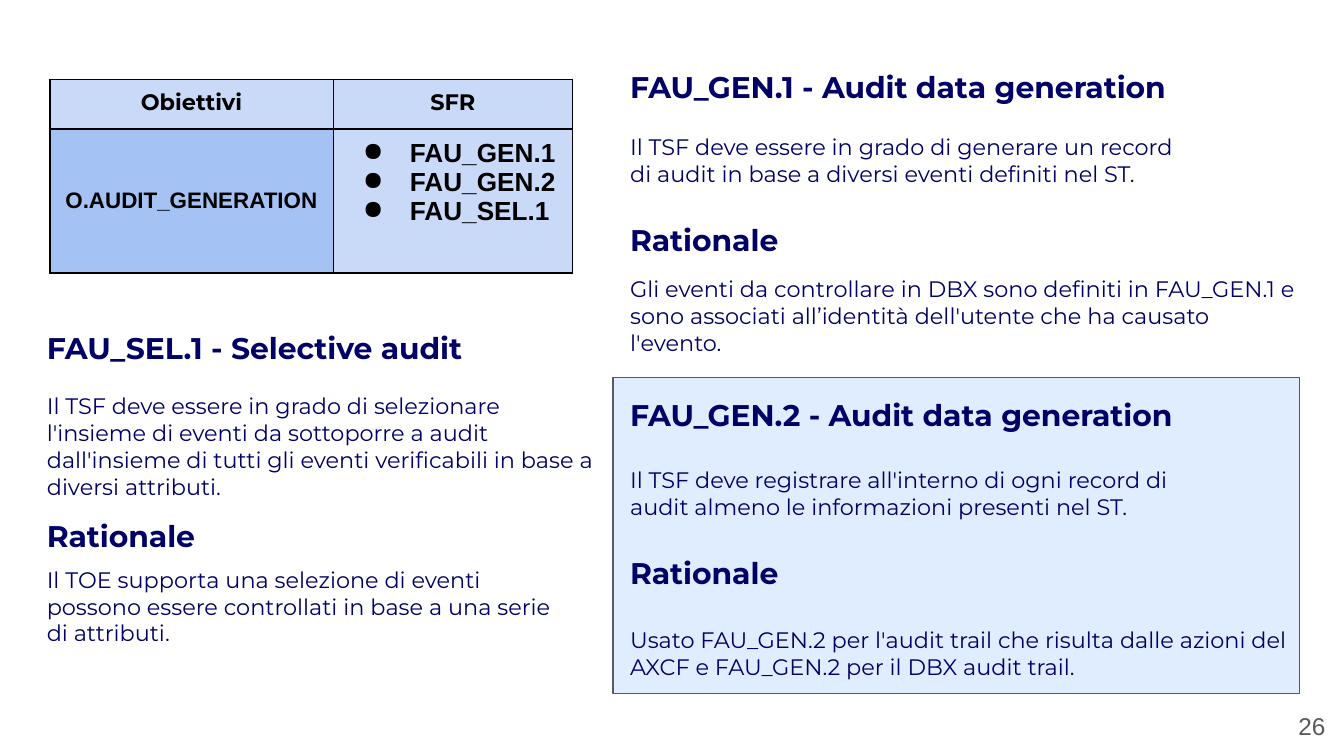
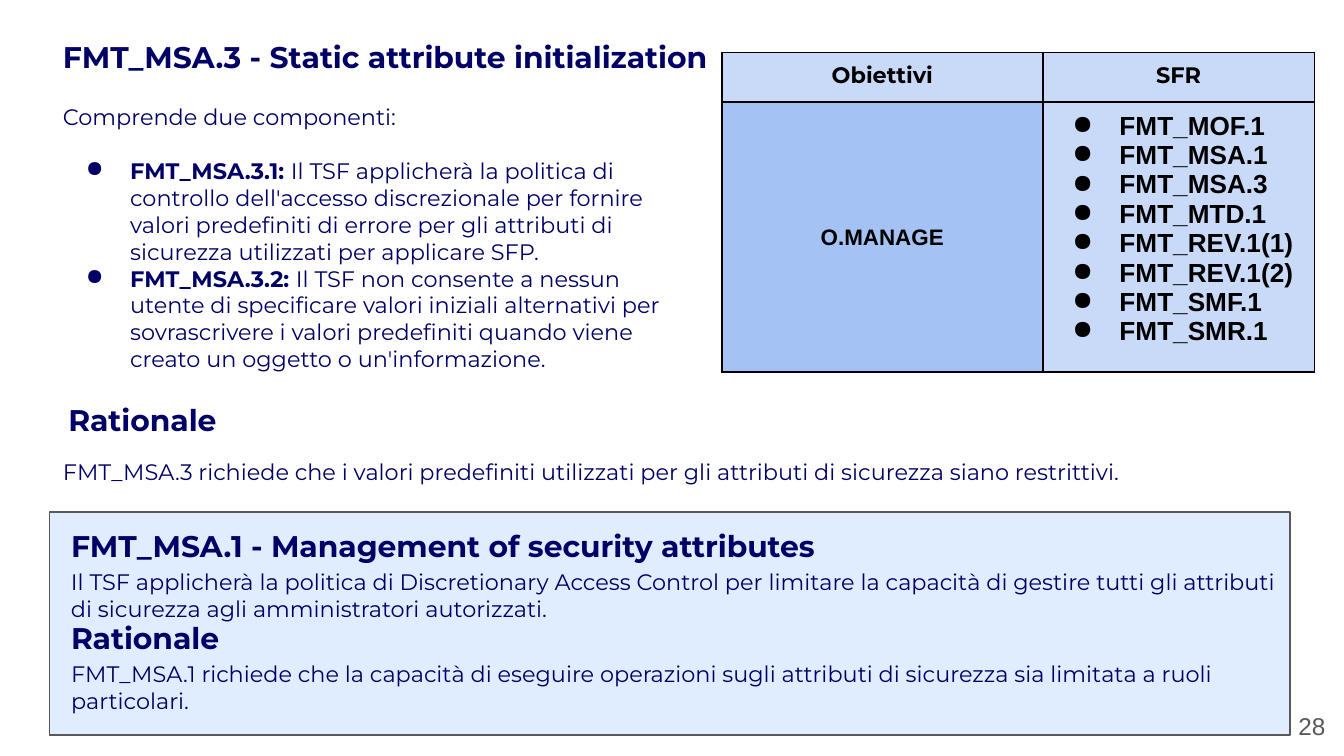
from dataclasses import dataclass
from lxml import etree
from pptx import Presentation
from pptx import util as u
from pptx.dml.color import RGBColor
from pptx.enum import shapes, text
from pptx.oxml.ns import qn


@dataclass
class Theme:
    ink: str = "000066"
    black: str = "000000"
    gray: str = "595959"
    panel: str = "E0ECFF"
    pale: str = "C9DAF8"
    mid: str = "A4C2F4"
    face: str = "Montserrat"
    plain: str = "Arial"
    head: int = 16
    item: int = 14
    page: int = 13
    body: int = 12


theme = Theme()
deck = Presentation()
deck.slide_width, deck.slide_height = u.Inches(10), u.Inches(5.625)
UNIT = deck.slide_width // 100  # square grid: 100 columns, 56.25 rows
PAD = round(0.07 * u.Inches(1))


def style(par, size, face, color, bold=False):
    for run in par.runs:
        run.font.size = u.Pt(size)
        run.font.name = face
        run.font.bold = bold
        run.font.color.rgb = RGBColor.from_string(color)


def bullet(par, hang, color):
    """Give the paragraph a round bullet hanging by the given columns."""
    props = par._p.get_or_add_pPr()
    props.set("marL", str(5 * UNIT))
    props.set("indent", str(-round(hang * UNIT)))
    tint = etree.SubElement(props, qn("a:buClr"))
    etree.SubElement(tint, qn("a:srgbClr"), val=color)
    etree.SubElement(props, qn("a:buChar"), char="●")


# Panel: column, row, width, height. Grid: column, row, column widths, row heights.
# Heads: column, row, width, text. Notes: column, row, width, lines, paragraphs;
# a paragraph given as a pair is a bullet with a bold lead.
pages = [
    {
        "page": "26",
        "panel": (45.6, 28.1, 51.1, 23.5),
        "grid": (3.7, 5.9, (21.1, 7.2, 5.5, 5.1), (3.7, 10.7)),
        "goal": "O.AUDIT_GENERATION",
        "items": ["FAU_GEN.1", "FAU_GEN.2", "FAU_SEL.1"],
        "heads": [
            (45.9, 4.1, 45.8, "FAU_GEN.1 - Audit data generation"),
            (45.9, 15.5, 17.2, "Rationale"),
            (45.9, 28.5, 48.4, "FAU_GEN.2 - Audit data generation"),
            (45.9, 40.3, 17.2, "Rationale"),
            (2.5, 23.5, 34.1, "FAU_SEL.1 - Selective audit"),
            (2.5, 37.5, 17.2, "Rationale"),
        ],
        "notes": [
            (45.9, 8.9, 43.1, 2, [
                "Il TSF deve essere in grado di generare un record di audit "
                "in base a diversi eventi definiti nel ST."]),
            (45.9, 19.5, 51.6, 3, [
                "Gli eventi da controllare in DBX sono definiti in FAU_GEN.1 e "
                "sono associati all’identità dell'utente che ha causato l'evento."]),
            (45.9, 33.7, 44, 2, [
                "Il TSF deve registrare all'interno di ogni record di audit "
                "almeno le informazioni presenti nel ST."]),
            (45.9, 45.6, 51.6, 2, [
                "Usato FAU_GEN.2 per l'audit trail che risulta dalle azioni del "
                "AXCF e FAU_GEN.2 per il DBX audit trail."]),
            (2.5, 28.2, 43.1, 4, [
                "Il TSF deve essere in grado di selezionare l'insieme di eventi "
                "da sottoporre a audit dall'insieme di tutti gli eventi "
                "verificabili in base a diversi attributi."]),
            (2.5, 41.1, 41.3, 3, [
                "Il TOE supporta una selezione di eventi possono essere "
                "controllati in base a una serie di attributi."]),
        ],
    },
    {
        "page": "28",
        "panel": (3.7, 38.1, 92.3, 16.6),
        "grid": (53.7, 3.9, (23.9, 8.2, 6.2, 5.8), (3.7, 20.1)),
        "goal": "O.MANAGE",
        "items": ["FMT_MOF.1", "FMT_MSA.1", "FMT_MSA.3", "FMT_MTD.1",
                  "FMT_REV.1(1)", "FMT_REV.1(2)", "FMT_SMF.1", "FMT_SMR.1"],
        "heads": [
            (3.7, 1.9, 50.7, "FMT_MSA.3 - Static attribute initialization"),
            (4.1, 28.9, 17.2, "Rationale"),
            (4.3, 38.3, 61.5, "FMT_MSA.1 - Management of security attributes"),
            (4.3, 45.1, 31.1, "Rationale"),
        ],
        "notes": [
            (3.7, 6.7, 49.3, 10, [
                "Comprende due componenti:",
                ("FMT_MSA.3.1: ",
                 "Il TSF applicherà la politica di controllo dell'accesso "
                 "discrezionale per fornire valori predefiniti di errore per gli "
                 "attributi di sicurezza utilizzati per applicare SFP."),
                ("FMT_MSA.3.2: ",
                 "Il TSF non consente a nessun utente di specificare valori "
                 "iniziali alternativi per sovrascrivere i valori predefiniti "
                 "quando viene creato un oggetto o un'informazione.")]),
            (3.7, 33.1, 87.1, 1, [
                "FMT_MSA.3 richiede che i valori predefiniti utilizzati per gli "
                "attributi di sicurezza siano restrittivi."]),
            (4.3, 41.3, 91.7, 2, [
                "Il TSF applicherà la politica di Discretionary Access Control "
                "per limitare la capacità di gestire tutti gli attributi di "
                "sicurezza agli amministratori autorizzati."]),
            (4.3, 48.1, 93.2, 2, [
                "FMT_MSA.1 richiede che la capacità di eseguire operazioni sugli "
                "attributi di sicurezza sia limitata a ruoli particolari."]),
        ],
    },
]

for page in pages:
    slide = deck.slides.add_slide(deck.slide_layouts[6])

    panel = slide.shapes.add_shape(
        shapes.MSO_SHAPE.RECTANGLE, *[round(n * UNIT) for n in page["panel"]])
    panel.shadow.inherit = False
    panel.fill.solid()
    panel.fill.fore_color.rgb = RGBColor.from_string(theme.panel)
    panel.line.color.rgb = RGBColor.from_string(theme.gray)
    panel.line.width = u.Pt(0.75)

    # Goal and requirement table
    left, top, widths, heights = page["grid"]
    area = [round(n * UNIT) for n in (left, top, sum(widths), sum(heights))]
    table = slide.shapes.add_table(2, 4, *area).table
    table.first_row = table.horz_banding = False
    for col, width in zip(table.columns, widths):
        col.width = round(width * UNIT)
    for row, height in zip(table.rows, heights):
        row.height = round(height * UNIT)
    for row in range(2):
        for col in range(4):
            cell = table.cell(row, col)
            cell.margin_left = cell.margin_right = PAD
            cell.margin_top = cell.margin_bottom = PAD
            props = cell._tc.get_or_add_tcPr()
            for side in ("lnL", "lnR", "lnT", "lnB"):
                edge = etree.SubElement(props, qn("a:" + side), w=str(u.Pt(1)))
                paint = etree.SubElement(edge, qn("a:solidFill"))
                etree.SubElement(paint, qn("a:srgbClr"), val=theme.black)
            cell.fill.solid()
            cell.fill.fore_color.rgb = RGBColor.from_string(
                theme.mid if (row, col) == (1, 0) else theme.pale)
        table.cell(row, 1).merge(table.cell(row, 3))
    labels = [(0, 0, "Obiettivi", theme.face), (0, 1, "SFR", theme.face),
              (1, 0, page["goal"], theme.plain)]
    for row, col, label, face in labels:
        cell = table.cell(row, col)
        cell.text_frame.text = label
        par = cell.text_frame.paragraphs[0]
        par.alignment = text.PP_ALIGN.CENTER
        style(par, theme.body, face, theme.black, True)
    table.cell(1, 0).vertical_anchor = text.MSO_ANCHOR.MIDDLE
    frame = table.cell(1, 1).text_frame
    frame.text = "\n".join(page["items"])
    for par in frame.paragraphs:
        bullet(par, 3.5, theme.black)
        style(par, theme.item, theme.plain, theme.black, True)

    # Headings, notes and page number share one kind of text box
    boxes = [(x, y, w, 4.7, [head], theme.head, theme.face, theme.ink)
             for x, y, w, head in page["heads"]]
    boxes += [(x, y, w, 2 + 2.03 * lines, pars, theme.body, theme.face, theme.ink)
              for x, y, w, lines, pars in page["notes"]]
    boxes.append((93.6, 51.9, 6, 4.3, [page["page"]],
                  theme.page, theme.plain, theme.gray))
    for x, y, w, h, pars, size, face, color in boxes:
        box = slide.shapes.add_textbox(*[round(n * UNIT) for n in (x, y, w, h)])
        frame = box.text_frame
        frame.word_wrap = True
        frame.margin_left = frame.margin_right = UNIT
        frame.margin_top = frame.margin_bottom = UNIT
        if size != theme.page:
            frame.auto_size = text.MSO_AUTO_SIZE.SHAPE_TO_FIT_TEXT
        for i, words in enumerate(pars):
            par = frame.add_paragraph() if i else frame.paragraphs[0]
            if isinstance(words, tuple):
                bullet(par, 3.3, theme.ink)
                for part in words:
                    par.add_run().text = part
                style(par, size, face, color)
                par.runs[0].font.bold = True
                if i == 1:
                    par.space_before = u.Pt(14.4)
            else:
                par.text = words
                style(par, size, face, color, size == theme.head)
            if size == theme.page:
                par.alignment = text.PP_ALIGN.RIGHT

deck.save("out.pptx")
